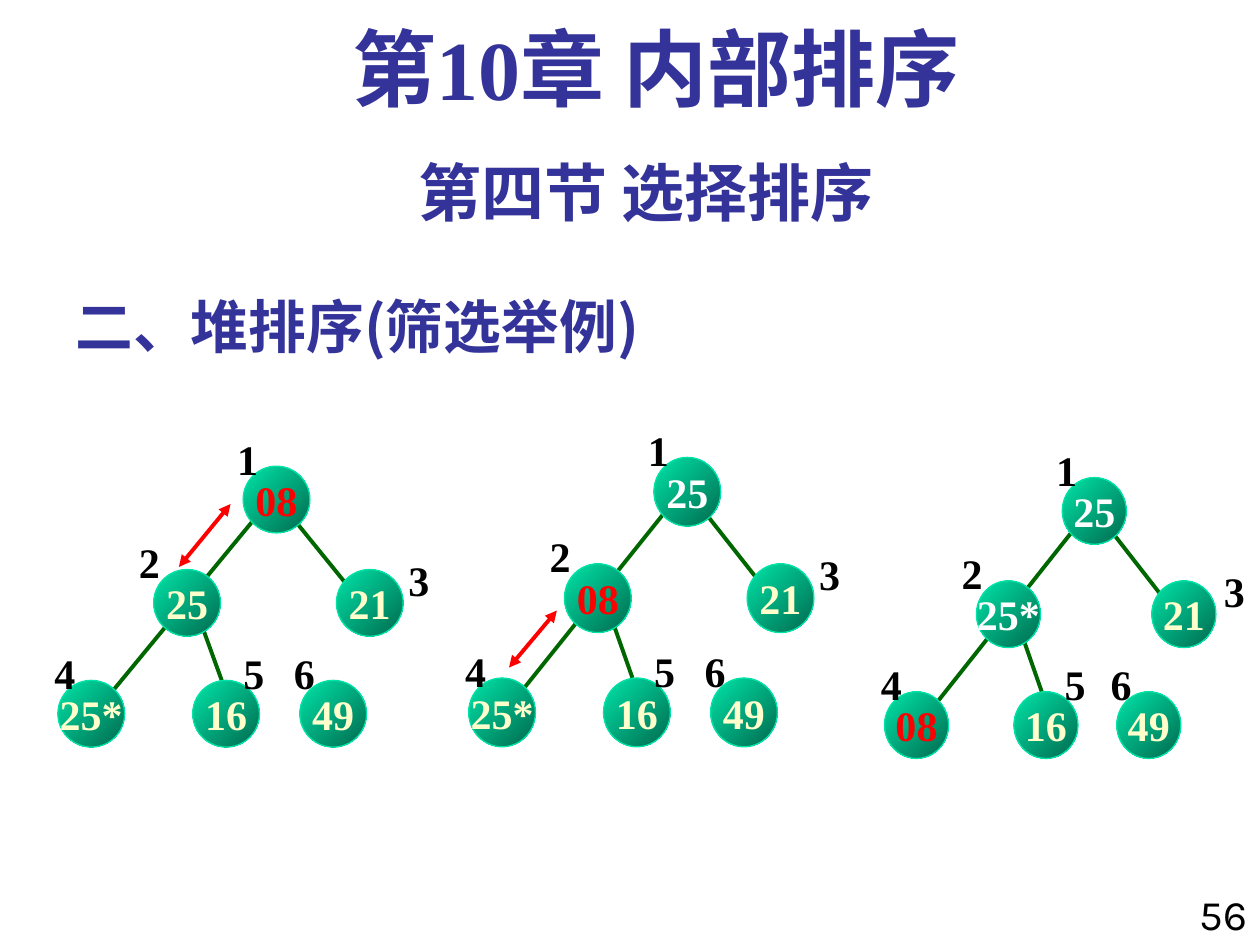
from dataclasses import dataclass

from lxml import etree
from pptx import Presentation
from pptx.dml.color import RGBColor
from pptx.enum.shapes import MSO_CONNECTOR, MSO_SHAPE
from pptx.enum.text import MSO_ANCHOR, PP_ALIGN
from pptx.oxml.ns import qn
from pptx.util import Inches, Pt

LEFT, CENTER, RIGHT = PP_ALIGN.LEFT, PP_ALIGN.CENTER, PP_ALIGN.RIGHT
TOP, MIDDLE, BOTTOM = MSO_ANCHOR.TOP, MSO_ANCHOR.MIDDLE, MSO_ANCHOR.BOTTOM
OVAL, STRAIGHT = MSO_SHAPE.OVAL, MSO_CONNECTOR.STRAIGHT

SLIDE_W, SLIDE_H = Inches(10), Inches(7.5)
COLUMNS, ROWS = 100, 75


@dataclass(frozen=True)
class Theme:
    heading: str = "333399"
    ink: str = "000000"
    key: str = "FFFFCC"
    raised: str = "FFFFFF"
    sifted: str = "FF0000"
    edge: str = "006600"
    node_light: str = "00E4A8"
    node_dark: str = "006A4E"
    serif: str = "Times New Roman"
    sans: str = "Karla"
    chinese: str = "Noto Sans CJK SC"
    chapter_size: float = 48
    section_size: float = 36
    topic_size: float = 33
    body_size: float = 24
    edge_width: float = 2.25
    outline_width: float = 0.75


THEME = Theme()

# Tree geometry in grid units, measured from the corner of node 4's column and node 1's row.
NODE_SIZE = 5.3
NODE_PLACES = [(14.7, 0), (7.6, 8.2), (22.1, 8.2), (0, 17), (10.7, 17), (19.2, 17)]
INDEX_SHIFTS = [(-1.5, -3.1), (-2.2, -3.1), (4.7, -1.7),
                (-1.3, -3.1), (3, -3.1), (-1.5, -3.1)]
INDEX_BOX = (3.7, 5)
EDGES = [((18.3, 3.7), (24.3, 11.1)),   # 1 to 3
         ((11.4, 12.6), (13, 17)),      # 2 to 5
         ((16, 3.7), (3.8, 18.5))]      # 1 through 2 to 4
SWAP_ROOT = ((9.6, 8), (13.7, 3))
SWAP_CHILD = ((3.2, 16.2), (7, 11.8))


@dataclass(frozen=True)
class Heap:
    origin: tuple
    scale: tuple
    keys: tuple
    colours: dict
    swap: tuple = None

    def place(self, point):
        return tuple(o + s * p for o, s, p in zip(self.origin, self.scale, point))


HEAPS = [
    Heap((4.6, 37), (1, 1), ("08", "25", "21", "25*", "16", "49"),
         {1: THEME.sifted}, SWAP_ROOT),
    Heap((37.2, 36.3), (1, 1.03), ("25", "08", "21", "25*", "16", "49"),
         {1: THEME.raised, 2: THEME.sifted}, SWAP_CHILD),
    Heap((70.2, 37.9), (0.96, 1), ("25", "25*", "21", "08", "16", "49"),
         {1: THEME.raised, 2: THEME.raised, 4: THEME.sifted}),
]


def grid(column, row):
    return round(SLIDE_W * column / COLUMNS), round(SLIDE_H * row / ROWS)


def rgb(code):
    return RGBColor.from_string(code)


def write(shape, text, size, colour, latin, bold=True, align=CENTER,
          anchor=TOP, wrap=True):
    """Put one styled run into a shape and return its paragraph."""
    frame = shape.text_frame
    frame.word_wrap = wrap
    frame.vertical_anchor = anchor
    paragraph = frame.paragraphs[0]
    paragraph.alignment = align
    run = paragraph.add_run()
    run.text = text
    run.font.size = Pt(size)
    run.font.bold = bold
    run.font.color.rgb = rgb(colour)
    run.font.name = latin
    east_asian = etree.SubElement(run.font._element, qn("a:ea"))
    east_asian.set("typeface", THEME.chinese)
    return paragraph


def add_text(shapes, corner, extent, *args, **style):
    box = shapes.add_textbox(*grid(*corner), *grid(*extent))
    return write(box, *args, **style)


def add_line(shapes, start, end, colour, two_headed=False):
    line = shapes.add_connector(STRAIGHT, *grid(*start), *grid(*end))
    line.line.color.rgb = rgb(colour)
    line.line.width = Pt(THEME.edge_width)
    if two_headed:
        outline = line.line._get_or_add_ln()
        for end_tag in ("a:headEnd", "a:tailEnd"):
            etree.SubElement(outline, qn(end_tag)).set("type", "triangle")
    etree.SubElement(line._element.spPr, qn("a:effectLst"))


def add_node(shapes, corner, extent, key, colour):
    node = shapes.add_shape(OVAL, *grid(*corner), *grid(*extent))
    node.shadow.inherit = False
    node.fill.gradient()
    node.fill.gradient_angle = 315
    stops = zip(node.fill.gradient_stops, (THEME.node_light, THEME.node_dark), (0, 1))
    for stop, shade, position in stops:
        stop.color.rgb = rgb(shade)
        stop.position = position
    node.line.color.rgb = rgb(THEME.node_light)
    node.line.width = Pt(THEME.outline_width)
    write(node, key, THEME.body_size, colour, THEME.serif, anchor=MIDDLE, wrap=False)


def add_heap(slide, heap):
    shapes = slide.shapes.add_group_shape().shapes
    for start, end in EDGES:
        add_line(shapes, heap.place(start), heap.place(end), THEME.edge)
    corners = [heap.place(point) for point in NODE_PLACES]
    extent = tuple(NODE_SIZE * s for s in heap.scale)
    for number, (corner, key) in enumerate(zip(corners, heap.keys), start=1):
        add_node(shapes, corner, extent, key, heap.colours.get(number, THEME.key))
    for number, (corner, shift) in enumerate(zip(corners, INDEX_SHIFTS), start=1):
        index_corner = (corner[0] + shift[0], corner[1] + shift[1])
        add_text(shapes, index_corner, INDEX_BOX, str(number), THEME.body_size,
                 THEME.ink, THEME.serif, wrap=False)
    if heap.swap:
        start, end = heap.swap
        add_line(shapes, heap.place(start), heap.place(end), THEME.sifted,
                 two_headed=True)


def add_headings(slide):
    shapes = slide.shapes
    add_text(shapes, (5, 21.7), (62.5, 7.4), "二、堆排序(筛选举例)",
             THEME.topic_size, THEME.heading, THEME.chinese, align=LEFT, anchor=BOTTOM)
    add_text(shapes, (93.3, 70), (6.7, 5.8), "56", THEME.body_size,
             THEME.ink, THEME.sans, bold=False, align=RIGHT)
    add_text(shapes, (5, 11.7), (92.5, 7), "第四节 选择排序",
             THEME.section_size, THEME.heading, THEME.sans)
    chapter = add_text(shapes, (6.7, 1.7), (90.8, 8.3), "第10章 内部排序",
                       THEME.chapter_size, THEME.heading, THEME.serif)
    chapter.line_spacing = 0.9


def main():
    deck = Presentation()
    deck.slide_width, deck.slide_height = SLIDE_W, SLIDE_H
    slide = deck.slides.add_slide(deck.slide_layouts[6])
    add_headings(slide)
    for heap in HEAPS:
        add_heap(slide, heap)
    deck.save("out.pptx")


if __name__ == "__main__":
    main()
